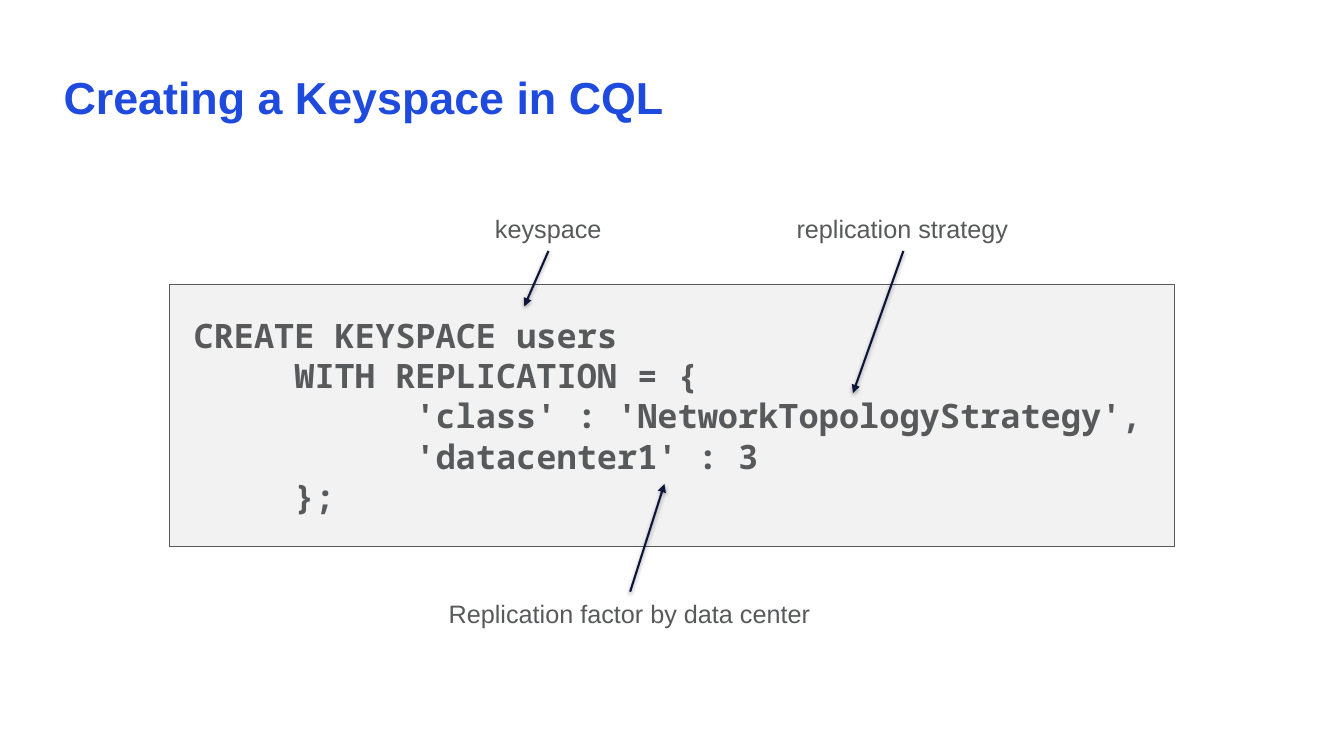
"""Build a slide that explains the CQL statement for creating a keyspace."""
from lxml.etree import SubElement
from pptx import Presentation
from pptx.dml.color import RGBColor
from pptx.enum.shapes import MSO_CONNECTOR as CONNECTOR, MSO_SHAPE as SHAPE
from pptx.enum.text import MSO_ANCHOR as ANCHOR, MSO_AUTO_SIZE as AUTO_SIZE, PP_ALIGN as ALIGN
from pptx.oxml.ns import qn
from pptx.util import Pt

PX = 9144
COLORS = {"title": "1F4ADE", "text": "58595B", "panel": "F2F2F2", "arrow": "0C153A", "shadow": "000000"}
LABEL_MARGINS = (13, 7, 13, 7)
TAB_STOPS = (100, 200)
CODE = """CREATE KEYSPACE users
\tWITH REPLICATION = {
\t\t 'class' : 'NetworkTopologyStrategy',
\t\t 'datacenter1' : 3
\t};"""
LABELS = [
    ("keyspace", (478, 205, 133, 44)),
    ("Replication factor by data center", (432, 587, 385, 44)),
    ("replication strategy", (777, 205, 239, 44)),
]
ARROWS = [
    ((625, 587), (659, 480)),
    ((896, 249), (846, 390)),
    ((544, 249), (520, 304)),
]


def color(name):
    return RGBColor.from_string(COLORS[name])


def scaled(lengths):
    return [length * PX for length in lengths]


def write_text(shape, text, margins, anchor, font_name, size, color_name, bold=False):
    frame = shape.text_frame
    frame.text = text
    frame.word_wrap = True
    frame.auto_size = AUTO_SIZE.NONE
    frame.vertical_anchor = anchor
    frame.margin_left, frame.margin_top, frame.margin_right, frame.margin_bottom = scaled(margins)
    for paragraph in frame.paragraphs:
        paragraph.alignment = ALIGN.LEFT
        for run in paragraph.runs:
            run.font.name = font_name
            run.font.size = Pt(size)
            run.font.bold = bold
            run.font.color.rgb = color(color_name)


def add_title(slide, text, box):
    title = slide.shapes.title
    title.left, title.top, title.width, title.height = scaled(box)
    write_text(title, text, LABEL_MARGINS, ANCHOR.MIDDLE, "Arial", 32, "title", bold=True)
    title.text_frame.paragraphs[0].line_spacing = 0.9


def set_tab_stops(shape, positions):
    for properties in shape.element.iter(qn("a:pPr")):
        tabs = SubElement(properties, qn("a:tabLst"))
        for position in scaled(positions):
            SubElement(tabs, qn("a:tab"), pos=str(position), algn="l")


def add_code_panel(slide, code, box):
    panel = slide.shapes.add_shape(SHAPE.RECTANGLE, *scaled(box))
    panel.shadow.inherit = False
    panel.fill.solid()
    panel.fill.fore_color.rgb = color("panel")
    panel.line.color.rgb = color("text")
    panel.line.width = Pt(0.75)
    write_text(panel, code, (24, 24, 0, 24), ANCHOR.MIDDLE, "Noto Sans Mono", 24, "text", bold=True)
    set_tab_stops(panel, TAB_STOPS)


def add_label(slide, text, box):
    label = slide.shapes.add_textbox(*scaled(box))
    write_text(label, text, LABEL_MARGINS, ANCHOR.TOP, "Arial", 18, "text")


def add_arrow(slide, start, end):
    arrow = slide.shapes.add_connector(CONNECTOR.STRAIGHT, *scaled(start + end))
    arrow.line.color.rgb = color("arrow")
    arrow.line.width = Pt(1.5)
    properties = arrow.element.spPr
    SubElement(properties.find(qn("a:ln")), qn("a:tailEnd"), type="triangle")
    effects = SubElement(properties, qn("a:effectLst"))
    shadow = SubElement(effects, qn("a:outerShdw"), blurRad="40000", dist="20000",
                        dir="5400000", rotWithShape="0")
    shade = SubElement(shadow, qn("a:srgbClr"), val=COLORS["shadow"])
    SubElement(shade, qn("a:alpha"), val="37000")


def main():
    presentation = Presentation()
    presentation.slide_width, presentation.slide_height = scaled((1333, 750))
    slide = presentation.slides.add_slide(presentation.slide_layouts.get_by_name("Title Only"))
    add_title(slide, "Creating a Keyspace in CQL", (50, 50, 1233, 98))
    add_code_panel(slide, CODE, (168, 282, 997, 260))
    for text, box in LABELS:
        add_label(slide, text, box)
    for start, end in ARROWS:
        add_arrow(slide, start, end)
    presentation.save("out.pptx")


if __name__ == "__main__":
    main()
